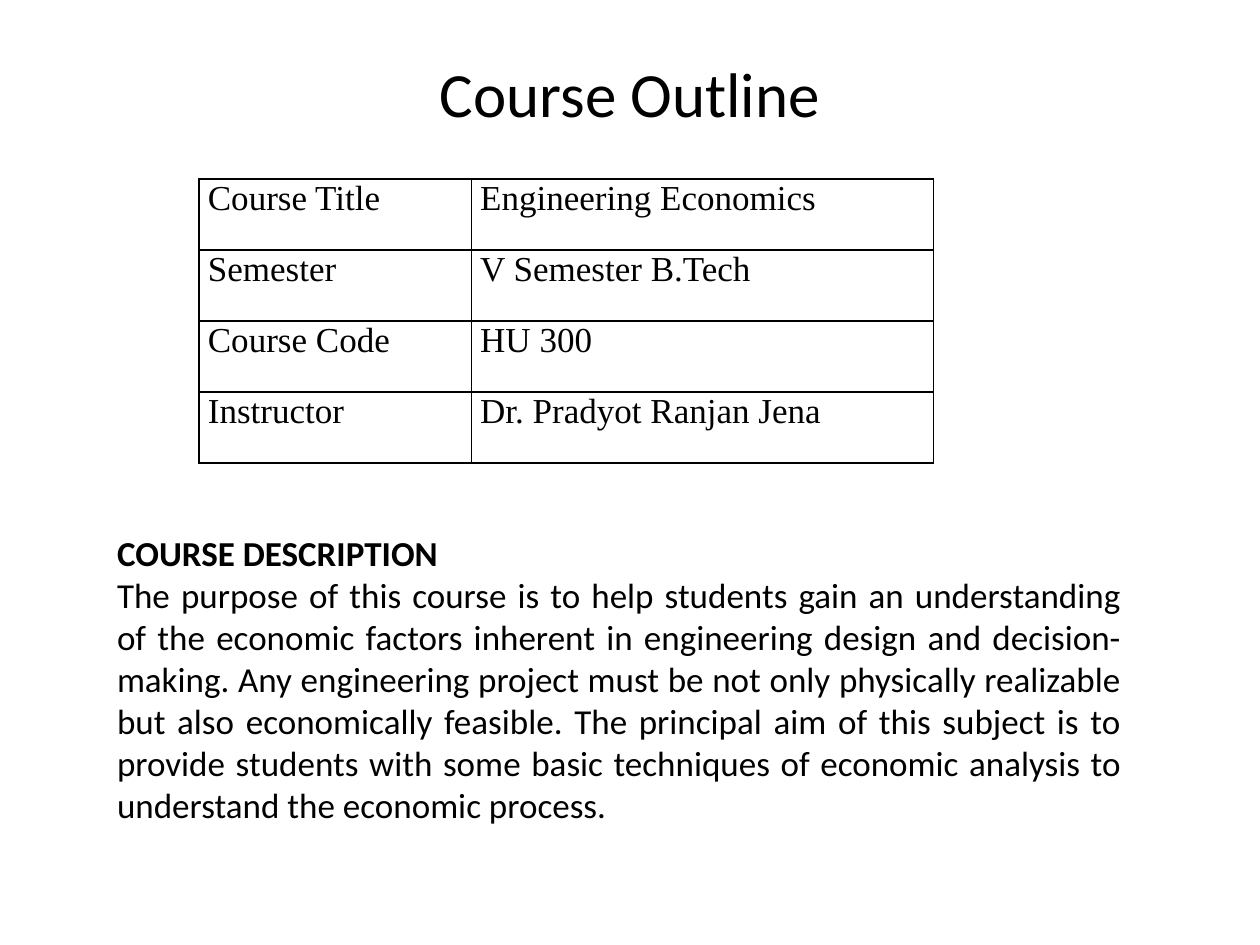
from lxml import etree
from pptx import Presentation
from pptx.dml.color import RGBColor
from pptx.enum.text import MSO_ANCHOR, PP_ALIGN
from pptx.oxml.ns import qn
from pptx.util import Cm, Pt

CENTER, JUSTIFY, LEFT = PP_ALIGN.CENTER, PP_ALIGN.JUSTIFY, PP_ALIGN.LEFT
TOP, MIDDLE = MSO_ANCHOR.TOP, MSO_ANCHOR.MIDDLE
COLORS = {"text": "000000", "border": "000000"}

TITLE_FONT = {"name": "Calibri", "size": Pt(36)}
BODY_FONT = {"name": "Calibri", "size": Pt(20), "bold": False}
HEADING_FONT = {**BODY_FONT, "bold": True}
CELL_FONT = {"name": "Times New Roman", "size": Pt(20), "bold": False}
CELL_FORMAT = {"margin_left": Cm(0.18), "margin_right": Cm(0.18),
               "margin_top": 0, "margin_bottom": 0, "vertical_anchor": TOP}

COURSE_FACTS = [
    ("Course Title", "Engineering Economics"),
    ("Semester", "V Semester B.Tech"),
    ("Course Code", "HU 300"),
    ("Instructor", "Dr. Pradyot Ranjan Jena"),
]
DESCRIPTION = (
    "The purpose of this course is to help students gain an understanding of "
    "the economic factors inherent in engineering design and decision-making. "
    "Any engineering project must be not only physically realizable but also "
    "economically feasible. The principal aim of this subject is to provide "
    "students with some basic techniques of economic analysis to understand "
    "the economic process."
)


def set_values(obj, values):
    for name, value in values.items():
        setattr(obj, name, value)


def write(p, text, font, align):
    p.alignment = align
    r = p.add_run()
    r.text = text
    set_values(r.font, font)
    r.font.color.rgb = RGBColor.from_string(COLORS["text"])


def add_title(s, text):
    sp = s.shapes.title
    set_values(sp, {"left": Cm(1.27), "top": Cm(0.76),
                    "width": Cm(22.86), "height": Cm(2.21)})
    sp.text_frame.vertical_anchor = MIDDLE
    write(sp.text_frame.paragraphs[0], text, TITLE_FONT, CENTER)


def set_borders(cell):
    tc_pr = cell._tc.get_or_add_tcPr()
    for i, side in enumerate(("a:lnL", "a:lnR", "a:lnT", "a:lnB")):
        ln = etree.Element(qn(side), w=str(Pt(1)))
        fill = etree.SubElement(ln, qn("a:solidFill"))
        etree.SubElement(fill, qn("a:srgbClr"), val=COLORS["border"])
        tc_pr.insert(i, ln)


def add_facts_table(s, rows):
    widths, row_height = (Cm(5.49), Cm(9.32)), Cm(1.43)
    table = s.shapes.add_table(len(rows), len(widths), Cm(4.01), Cm(3.61),
                               sum(widths), row_height * len(rows)).table
    set_values(table, {"first_row": False, "horz_banding": False})
    for col, width in zip(table.columns, widths):
        col.width = width
    for i, row in enumerate(rows):
        for j, text in enumerate(row):
            cell = table.cell(i, j)
            set_values(cell, CELL_FORMAT)
            cell.fill.background()
            set_borders(cell)
            write(cell.text_frame.paragraphs[0], text, CELL_FONT, JUSTIFY)


def add_description(s, heading, text):
    sp = s.shapes.add_textbox(Cm(2.11), Cm(10.59), Cm(20.75), Cm(7.01))
    tf = sp.text_frame
    tf.word_wrap = True
    write(tf.paragraphs[0], heading, HEADING_FONT, LEFT)
    write(tf.add_paragraph(), text, BODY_FONT, JUSTIFY)


def main():
    prs = Presentation()
    prs.slide_width, prs.slide_height = Cm(25.4), Cm(19.05)
    # Title Only layout
    s = prs.slides.add_slide(prs.slide_layouts[5])
    add_title(s, "Course Outline")
    # Course facts and description
    add_facts_table(s, COURSE_FACTS)
    add_description(s, "COURSE DESCRIPTION", DESCRIPTION)
    prs.save("out.pptx")


if __name__ == "__main__":
    main()
